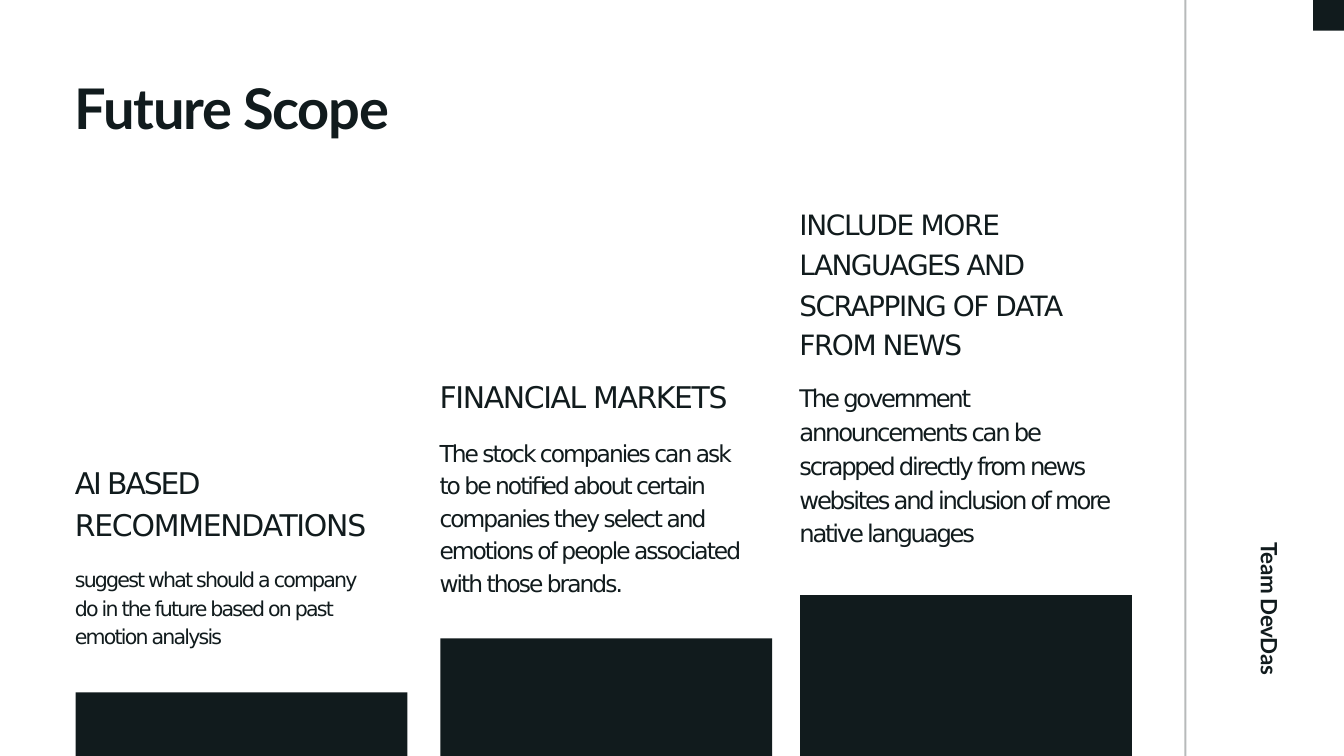
from lxml.etree import SubElement
from pptx import Presentation
from pptx.dml.color import RGBColor
from pptx.enum.shapes import MSO_SHAPE
from pptx.enum.text import MSO_ANCHOR, PP_ALIGN
from pptx.oxml.ns import qn
from pptx.util import Emu, Pt

PX = 9525
WIDTH, HEIGHT = 1920, 1080
INK = "111B1D"
BAR_WIDTH = 474

TITLE = {"text": "Future Scope", "font": "Lato", "size": 60, "bold": True,
         "tracking": -1.4, "before": 1}
TEAM = {"text": "Team DevDas", "font": "Lato", "size": 24, "bold": True,
        "tracking": -0.4, "line": Pt(27.9)}

# Each column stands on a bar that reaches the foot of the slide.
COLUMNS = [
    {"left": 107, "top": 654, "width": 434, "height": 274, "inset": 10, "bar_top": 989,
     "paragraphs": [
         {"text": "AI BASED", "size": 32, "tracking": -2.3, "before": 7.2},
         {"text": "RECOMMENDATIONS", "size": 32, "tracking": -1.4, "before": 6.1},
         {"text": "suggest what should a company do in the future based on past "
                  "emotion analysis",
          "size": 22, "tracking": -1.9, "before": 21.8, "line": 1.17}]},
    {"left": 628, "top": 540, "width": 450, "height": 314, "inset": 1, "bar_top": 912,
     "paragraphs": [
         {"text": "FINANCIAL MARKETS", "size": 32, "tracking": -1.5, "before": 1},
         {"text": "The stock companies can ask to be notified about certain companies "
                  "they select and emotions of people associated with those brands.",
          "size": 25, "tracking": -2.1, "before": 21.4, "line": 1.16}]},
    {"left": 1142, "top": 287, "width": 447, "height": 495, "inset": 10, "bar_top": 850,
     "paragraphs": [
         {"text": "INCLUDE MORE", "size": 30, "tracking": -1.4, "before": 6.9},
         {"text": "LANGUAGES AND", "size": 30, "tracking": -1.7, "before": 6},
         {"text": "SCRAPPING OF DATA FROM NEWS", "size": 30, "tracking": -1.6,
          "before": 2.4, "line": Pt(41.9)},
         {"text": "The government announcements can be scrapped directly from news "
                  "websites and inclusion of more native languages",
          "size": 26, "tracking": -2.4, "before": 19.1, "line": 1.16}]},
]


def color(value):
    return RGBColor.from_string(value)


def px(*lengths):
    return [Emu(length * PX) for length in lengths]


def add_block(slide, left, top, width, height, opacity=100):
    block = slide.shapes.add_shape(MSO_SHAPE.RECTANGLE, *px(left, top, width, height))
    block.shadow.inherit = False
    block.line.fill.background()
    block.fill.solid()
    block.fill.fore_color.rgb = color(INK)
    if opacity < 100:
        solid = block.fill._xPr.find(qn("a:solidFill"))
        SubElement(solid[0], qn("a:alpha")).set("val", str(opacity * 1000))
    return block


def write(box, paragraphs, inset=0):
    frame = box.text_frame
    settings = {"word_wrap": True, "vertical_anchor": MSO_ANCHOR.TOP,
                "margin_left": 0, "margin_right": 0,
                "margin_top": inset * PX, "margin_bottom": 0}
    for name, value in settings.items():
        setattr(frame, name, value)
    for index, item in enumerate(paragraphs):
        para = frame.add_paragraph() if index else frame.paragraphs[0]
        layout = {"alignment": PP_ALIGN.LEFT, "line_spacing": item.get("line", 1.0),
                  "space_before": Pt(item.get("before", 0)), "space_after": Pt(0)}
        for name, value in layout.items():
            setattr(para, name, value)
        span = para.add_run()
        span.text = item["text"]
        look = {"name": item.get("font", "DejaVu Sans"), "size": Pt(item["size"]),
                "bold": item.get("bold", False)}
        for name, value in look.items():
            setattr(span.font, name, value)
        span.font.color.rgb = color(INK)
        span._r.get_or_add_rPr().set("spc", str(round(item["tracking"] * 100)))


def main():
    deck = Presentation()
    deck.slide_width, deck.slide_height = px(WIDTH, HEIGHT)
    page = deck.slides.add_slide(deck.slide_layouts[5])

    title = page.shapes.title
    title.left, title.top, title.width, title.height = px(107, 104, 474, 99)
    write(title, [TITLE], 1)

    for column in COLUMNS:
        box = page.shapes.add_textbox(
            *px(*(column[side] for side in ("left", "top", "width", "height"))))
        write(box, column["paragraphs"], column["inset"])
        add_block(page, column["left"] + 1, column["bar_top"],
                  BAR_WIDTH, HEIGHT - column["bar_top"])

    add_block(page, 1692, 0, 3, HEIGHT, opacity=30)
    team = page.shapes.add_textbox(*px(1791, 775, 41, 199))
    write(team, [TEAM])
    team.text_frame._txBody.bodyPr.set("vert", "vert")
    add_block(page, WIDTH - 44, 0, 44, 44)

    deck.save("out.pptx")


if __name__ == "__main__":
    main()
